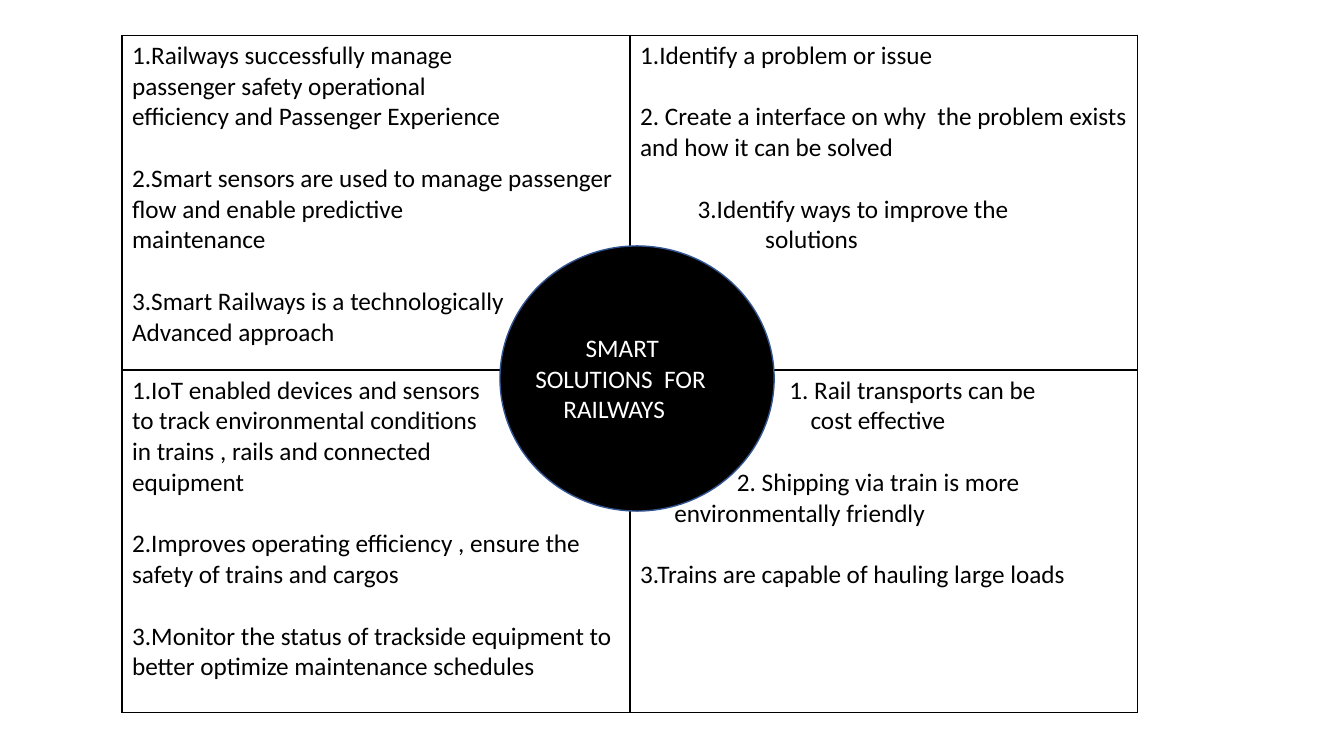
import pptx
import pptx.util
import pptx.dml.color
import pptx.enum.shapes
import pptx.enum.text
import pptx.oxml
from pptx.oxml.ns import nsdecls, qn

WIDE, HIGH = 13.33, 7.5
SIZE = 18
GAP = 22
INK, PAPER, RIM = "000000", "FFFFFF", "325491"

CELLS = [
    [
        [
            ["1.Railways successfully manage", "passenger safety operational",
             "efficiency and Passenger Experience"],
            ["2.Smart sensors are used to manage passenger flow and enable predictive",
             "maintenance"],
            ["3.Smart Railways is a technologically", "Advanced approach"],
        ],
        [
            ["1.Identify a problem or issue"],
            ["2. Create a interface on why  the problem exists and how it can be solved"],
            [("3.Identify ways to improve the", 0.57), ("solutions", 1.24)],
        ],
    ],
    [
        [
            ["1.IoT enabled devices and sensors", "to track environmental conditions",
             "in trains , rails and connected", "equipment"],
            ["2.Improves operating efficiency , ensure the safety of trains and cargos"],
            ["3.Monitor the status of trackside equipment to better optimize "
             "maintenance schedules"],
        ],
        [
            [("1. Rail transports can be", 1.48), ("cost effective", 1.69)],
            [("2. Shipping via train is more", 0.96), ("environmentally friendly", 0.34)],
            ["3.Trains are capable of hauling large loads"],
        ],
    ],
]
TITLE = [[("SMART", 0.67), ("SOLUTIONS  FOR", 0.17), ("RAILWAYS", 0.45)]]


def across(share):
    """Turn a percentage of the slide width into a length."""
    return pptx.util.Inches(WIDE * share / 100)


def down(share):
    """Turn a percentage of the slide height into a length."""
    return pptx.util.Inches(HIGH * share / 100)


def box(left, top, width, height):
    """Turn four percentages into a place on the slide."""
    return across(left), down(top), across(width), down(height)


def paint(color, code):
    """Set a colour format from a hex string."""
    color.rgb = pptx.dml.color.RGBColor.from_string(code)


def write(frame, items, code):
    """Fill a text frame with items of lines, spaced apart by item."""
    frame.word_wrap = True
    lines = [(line, i > 0 and j == 0)
             for i, item in enumerate(items) for j, line in enumerate(item)]
    for n, (line, apart) in enumerate(lines):
        text, indent = (line, 0) if isinstance(line, str) else line
        para = frame.paragraphs[0] if n == 0 else frame.add_paragraph()
        para.text = text
        para.alignment = pptx.enum.text.PP_ALIGN.LEFT
        para.line_spacing = 1.0
        para.space_before = pptx.util.Pt(GAP if apart else 0)
        if indent:
            para._p.get_or_add_pPr().set("marL", str(pptx.util.Inches(indent)))
        para.font.size = pptx.util.Pt(SIZE)
        para.font.name = "Calibri"
        paint(para.font.color, code)


def edge(cell, code):
    """Draw a thin line on every side of a cell."""
    props = cell._tc.get_or_add_tcPr()
    for side in ("lnL", "lnR", "lnT", "lnB"):
        props.append(pptx.oxml.parse_xml(
            f'<a:{side} {nsdecls("a")} w="12700"><a:solidFill>'
            f'<a:srgbClr val="{code}"/></a:solidFill></a:{side}>'))


def grid(slide, place, cols, rows, cells):
    """Add a plain bordered table."""
    table = slide.shapes.add_table(len(rows), len(cols), *place).table
    table.first_row = table.horz_banding = False
    for col, share in zip(table.columns, cols):
        col.width = across(share)
    for row, share, texts in zip(table.rows, rows, cells):
        row.height = down(share)
        for cell, items in zip(row.cells, texts):
            edge(cell, INK)
            cell.fill.solid()
            paint(cell.fill.fore_color, PAPER)
            write(cell.text_frame, items, INK)


def disc(slide, place):
    """Add the dark circle at the centre."""
    kind = pptx.enum.shapes.MSO_SHAPE.FLOWCHART_CONNECTOR
    shape = slide.shapes.add_shape(kind, *place)
    shape.shadow.inherit = False
    shape.fill.solid()
    paint(shape.fill.fore_color, INK)
    paint(shape.line.color, RIM)
    shape.line.width = pptx.util.Pt(1)


def head(slide, place, items):
    """Move the title placeholder to the front and fill it."""
    title = slide.shapes.title
    title.left, title.top, title.width, title.height = place
    frame = title.text_frame
    frame.auto_size = pptx.enum.text.MSO_AUTO_SIZE.NONE
    frame.vertical_anchor = pptx.enum.text.MSO_ANCHOR.TOP
    write(frame, items, PAPER)
    slide.shapes._spTree.append(title._element)


def main():
    """Build the slide and save it."""
    deck = pptx.Presentation()
    deck.slide_width = pptx.util.Inches(WIDE)
    deck.slide_height = pptx.util.Inches(HIGH)
    slide = deck.slides.add_slide(deck.slide_layouts.get_by_name("Title Only"))
    cols, rows = (37.8, 37.73), (44.27, 45.33)
    grid(slide, box(9.08, 4.67, sum(cols), sum(rows)), cols, rows, CELLS)
    disc(slide, box(37.2, 32.53, 20.4, 35.07))
    head(slide, box(37.8, 43.33, 19.2, 12.93), TITLE)
    deck.save("out.pptx")


if __name__ == "__main__":
    main()
